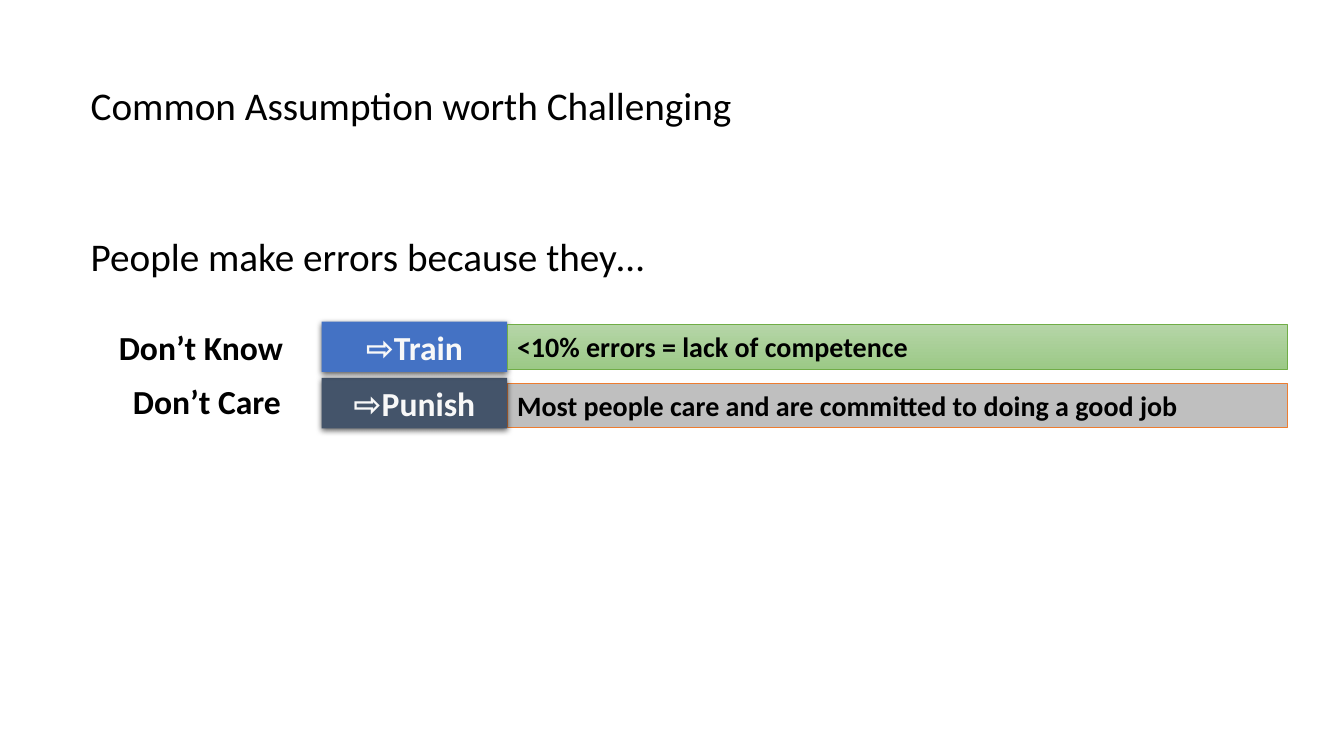
"""Build a slide that challenges two common assumptions about errors."""
from dataclasses import dataclass

from lxml import etree
from pptx import Presentation
from pptx import util as u
from pptx.dml.color import RGBColor
from pptx.enum import shapes, text
from pptx.oxml import ns

PX = 9144


@dataclass(frozen=True)
class Theme:
    font: str = "Calibri"
    heading_size: int = 28
    label_size: int = 24
    reason_size: int = 20
    ink: str = "000000"
    light: str = "F8F8F8"
    blue: str = "4472C4"
    slate: str = "44546A"
    grey: str = "BFBFBF"
    orange: str = "ED7D31"
    green: str = "70AD47"
    green_top: str = "B5D5A7"
    green_bottom: str = "9CC987"


class SlideBuilder:
    def __init__(self, slide, theme):
        self.slide = slide
        self.theme = theme

    def set_text(self, shape, wording, size, color, bold=True, centred=False):
        frame = shape.text_frame
        frame.text = wording
        frame.word_wrap = True
        frame.vertical_anchor = text.MSO_ANCHOR.MIDDLE
        frame.auto_size = text.MSO_AUTO_SIZE.NONE
        paragraph = frame.paragraphs[0]
        paragraph.alignment = text.PP_ALIGN.CENTER if centred else text.PP_ALIGN.LEFT
        font = paragraph.runs[0].font
        font.name = self.theme.font
        font.size = u.Pt(size)
        font.bold = bold
        font.color.rgb = RGBColor.from_string(color)

    def heading(self, placeholder, wording, top):
        placeholder.left, placeholder.top = 90 * PX, top * PX
        placeholder.width, placeholder.height = 793 * PX, 47 * PX
        self.set_text(placeholder, wording, self.theme.heading_size, self.theme.ink, bold=False)
        frame = placeholder.text_frame
        frame.margin_left = frame.margin_right = frame.margin_top = frame.margin_bottom = 0
        paragraph = frame.paragraphs[0]
        paragraph.line_spacing = 1.0
        paragraph.space_before = u.Pt(0)
        properties = paragraph._p.get_or_add_pPr()
        properties.set("marL", "0")
        properties.set("indent", "0")
        etree.SubElement(properties, ns.qn("a:buNone"))

    def label(self, wording, left, top):
        box = self.slide.shapes.add_textbox(left * PX, top * PX, 254 * PX, 50 * PX)
        self.set_text(box, wording, self.theme.label_size, self.theme.ink)

    def rectangle(self, left, top, width, height):
        shape = self.slide.shapes.add_shape(
            shapes.MSO_SHAPE.RECTANGLE, left * PX, top * PX, width * PX, height * PX)
        shape.shadow.inherit = False
        return shape

    def bar(self, wording, top, fills, outline):
        shape = self.rectangle(503, top, 774, 44)
        if len(fills) == 1:
            shape.fill.solid()
            shape.fill.fore_color.rgb = RGBColor.from_string(fills[0])
        else:
            shape.fill.gradient()
            shape.fill.gradient_angle = 270
            for stop, color in zip(shape.fill.gradient_stops, fills):
                stop.color.rgb = RGBColor.from_string(color)
        shape.line.color.rgb = RGBColor.from_string(outline)
        shape.line.width = u.Pt(0.5)
        self.set_text(shape, wording, self.theme.reason_size, self.theme.ink)

    def tag(self, wording, top, fill):
        shape = self.rectangle(319, top, 184, 50)
        shape.fill.solid()
        shape.fill.fore_color.rgb = RGBColor.from_string(fill)
        shape.line.fill.background()
        self.set_text(shape, wording, self.theme.label_size, self.theme.light, centred=True)
        effects = shape._element.spPr.find(ns.qn("a:effectLst"))
        shadow = etree.SubElement(
            effects, ns.qn("a:outerShdw"), blurRad=str(u.Pt(4.5)), dist=str(u.Pt(1.5)),
            dir="5400000", algn="ctr", rotWithShape="0")
        color = etree.SubElement(shadow, ns.qn("a:srgbClr"), val=self.theme.ink)
        etree.SubElement(color, ns.qn("a:alpha"), val="63000")


def main():
    presentation = Presentation()
    presentation.slide_width, presentation.slide_height = 1333 * PX, 750 * PX
    slide = presentation.slides.add_slide(presentation.slide_layouts[1])
    theme = Theme()
    builder = SlideBuilder(slide, theme)

    builder.heading(slide.shapes.title, "Common Assumption worth Challenging", 80)
    builder.heading(slide.placeholders[1], "People make errors because they…", 230)

    builder.bar("Most people care and are committed to doing a good job", 380,
                [theme.grey], theme.orange)
    builder.label("Don’t Care", 122, 373)
    builder.label("Don’t Know", 108, 319)
    builder.tag("⇨Punish", 375, theme.slate)
    builder.tag("⇨Train", 319, theme.blue)
    builder.bar("<10% errors = lack of competence", 322,
                [theme.green_top, theme.green_bottom], theme.green)

    presentation.save("out.pptx")


if __name__ == "__main__":
    main()
